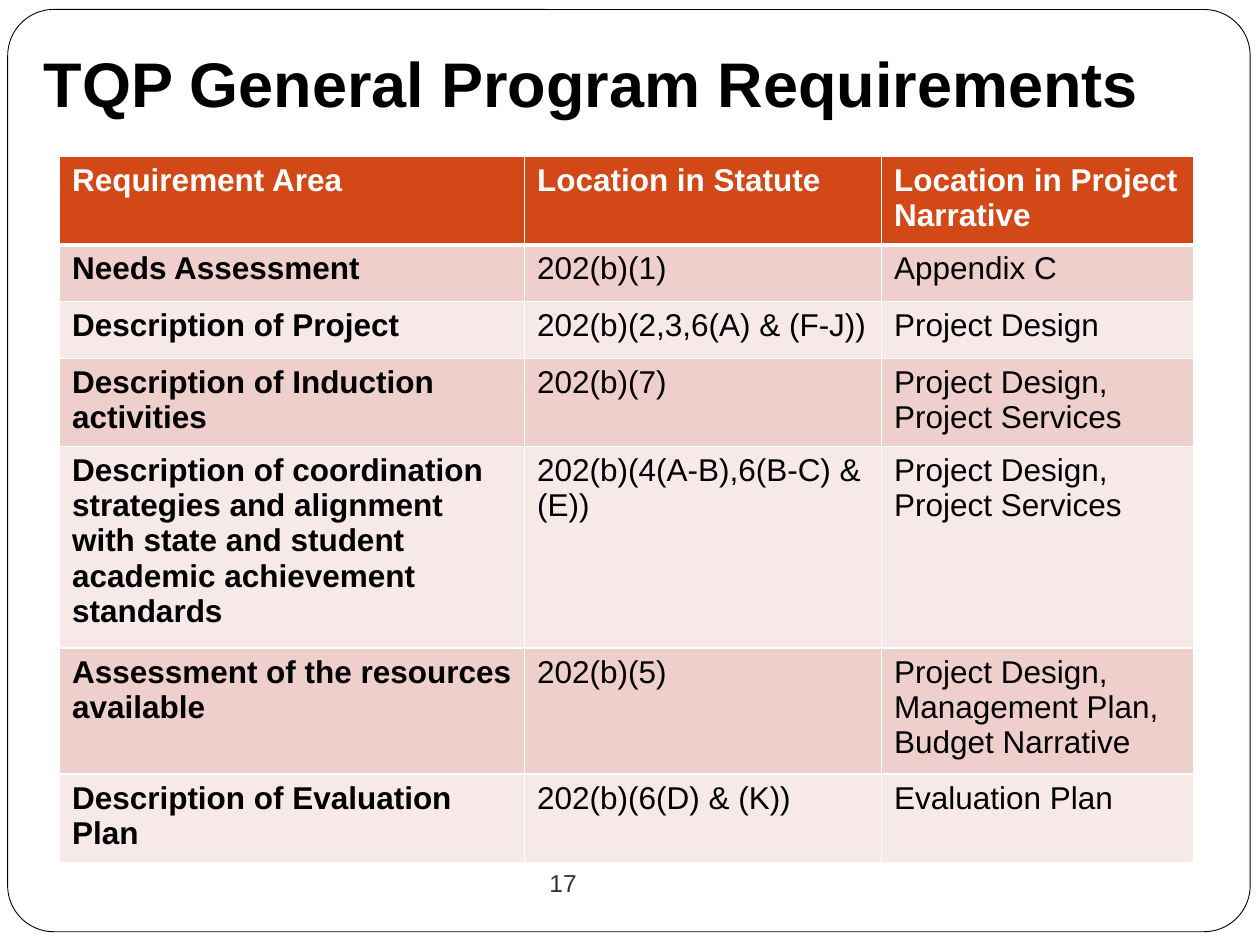
from lxml.etree import SubElement
from pptx import Presentation
from pptx.dml.color import RGBColor
from pptx.enum.shapes import MSO_SHAPE
from pptx.enum.text import MSO_ANCHOR
from pptx.oxml.ns import qn
from pptx.util import Pt

WHITE = RGBColor(0xFF, 0xFF, 0xFF)
BLACK = RGBColor(0x00, 0x00, 0x00)
GRAY = RGBColor(0x33, 0x33, 0x33)
ORANGE = RGBColor(0xD3, 0x48, 0x17)
ROSE = RGBColor(0xEF, 0xCF, 0xCC)
PALE_ROSE = RGBColor(0xF7, 0xE9, 0xE8)

COLUMN_WIDTHS = (265.8, 204, 178.2)
ROW_HEIGHTS = (50.4, 32.4, 32.4, 50.4, 115.2, 72, 50.4)
REQUIREMENTS = (
    ("Requirement Area", "Location in Statute", "Location in Project Narrative"),
    ("Needs Assessment", "202(b)(1)", "Appendix C"),
    ("Description of Project", "202(b)(2,3,6(A) & (F-J))", "Project Design"),
    ("Description of Induction activities", "202(b)(7)",
     "Project Design, Project Services"),
    ("Description of coordination strategies and alignment with state and "
     "student academic achievement standards", "202(b)(4(A-B),6(B-C) & (E))",
     "Project Design, Project Services"),
    ("Assessment of the resources available", "202(b)(5)",
     "Project Design, Management Plan, Budget Narrative"),
    ("Description of Evaluation Plan", "202(b)(6(D) & (K))", "Evaluation Plan"),
)


def write_text(frame, text, size, color, bold=False):
    """Write one formatted span into a text frame."""
    span = frame.paragraphs[0].add_run()
    span.text = text
    span.font.color.rgb = color
    for name, value in {"name": "Arial", "size": Pt(size), "bold": bold}.items():
        setattr(span.font, name, value)


def add_frame(page):
    """Draw the rounded outline around the page."""
    frame = page.shapes.add_shape(
        MSO_SHAPE.ROUNDED_RECTANGLE, Pt(4.4), Pt(5.4), Pt(710), Pt(527))
    frame.adjustments[0] = 0.05
    frame.shadow.inherit = False
    frame.fill.solid()
    frame.fill.fore_color.rgb = WHITE
    frame.line.color.rgb = BLACK
    frame.line.width = Pt(0.5)


def add_text(page, area, text, size, color, bold=False, **margins):
    """Add a wrapped text box with top-anchored text."""
    box = page.shapes.add_textbox(*map(Pt, area))
    frame = box.text_frame
    settings = {"word_wrap": True, "vertical_anchor": MSO_ANCHOR.TOP, **margins}
    for name, value in settings.items():
        setattr(frame, name, value)
    write_text(frame, text, size, color, bold)


def set_borders(cell, bottom_width):
    """Give a cell white borders, one point wide except at the bottom."""
    properties = cell._tc.get_or_add_tcPr()
    widths = {"a:lnL": 1, "a:lnR": 1, "a:lnT": 1, "a:lnB": bottom_width}
    for tag, width in widths.items():
        line = SubElement(properties, qn(tag), w=str(Pt(width)))
        fill = SubElement(line, qn("a:solidFill"))
        SubElement(fill, qn("a:srgbClr"), val=str(WHITE))


def add_requirements(page):
    """Add the table of requirements with banded rows."""
    table = page.shapes.add_table(
        len(ROW_HEIGHTS), len(COLUMN_WIDTHS), Pt(34), Pt(89.5),
        Pt(sum(COLUMN_WIDTHS)), Pt(sum(ROW_HEIGHTS))).table
    for column, width in zip(table.columns, COLUMN_WIDTHS):
        column.width = Pt(width)
    for index, (row, height) in enumerate(zip(table.rows, ROW_HEIGHTS)):
        row.height = Pt(height)
        header = index == 0
        band = ORANGE if header else ROSE if index % 2 else PALE_ROSE
        for position, cell in enumerate(row.cells):
            set_borders(cell, 3 if header else 1)
            cell.fill.solid()
            cell.fill.fore_color.rgb = band
            write_text(cell.text_frame, REQUIREMENTS[index][position], 18,
                       WHITE if header else BLACK, header or position == 0)


def main():
    """Build and save the slide."""
    deck = Presentation()
    deck.slide_width, deck.slide_height = Pt(720), Pt(540)
    page = deck.slides.add_slide(deck.slide_layouts[6])
    add_frame(page)
    add_text(page, (18, 18, 666, 66), "TQP General Program Requirements",
             36, BLACK, True, margin_top=Pt(7.7))
    add_requirements(page)
    add_text(page, (314, 492.5, 91.5, 28.8), "17", 14, GRAY,
             margin_left=0, margin_right=0)
    deck.save("out.pptx")


if __name__ == "__main__":
    main()
